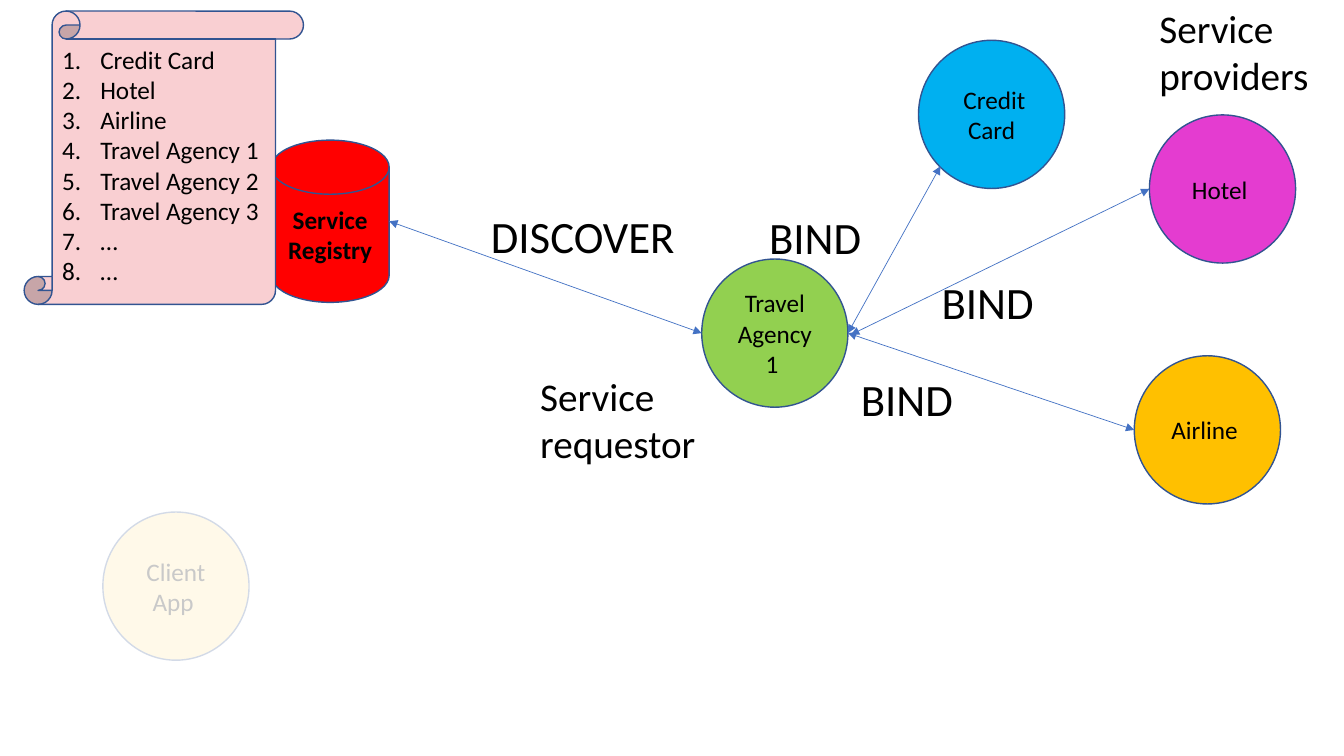
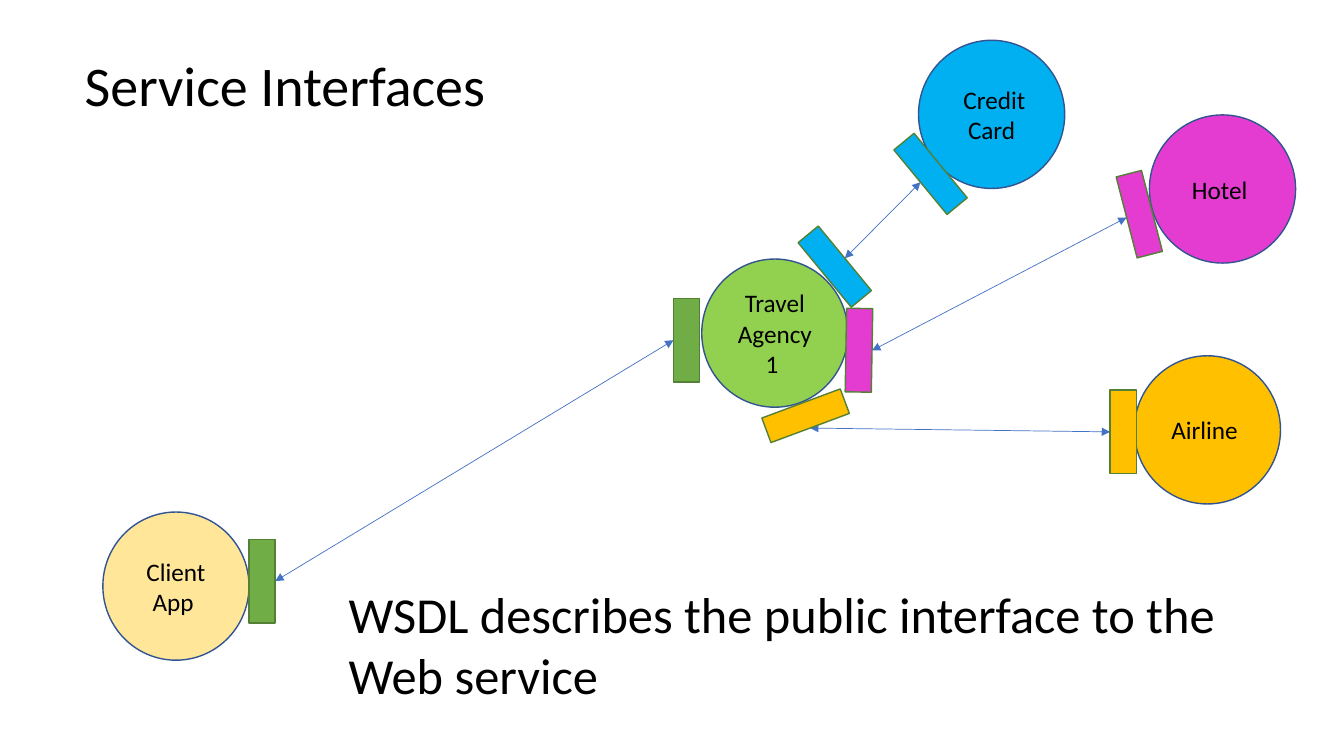
"""Builds two slides on service discovery, binding and interfaces."""
from dataclasses import dataclass
from math import cos, radians, sin

from pptx import Presentation
from pptx import util as u
from pptx.dml.color import RGBColor
from pptx.enum import shapes, text
from pptx.oxml.ns import qn
from pptx.oxml.xmlchemy import OxmlElement
from pptx.shapes.autoshape import Shape
from pptx.slide import Slide
from pptx.text.text import TextFrame

COLS, ROWS = 13.33, 7.5
COL = ROW = u.Inches(1)
FONT = "Calibri"
TITLE_ONLY, BLANK = 5, 6

BLACK = RGBColor(0x00, 0x00, 0x00)
WHITE = RGBColor(0xFF, 0xFF, 0xFF)
LIME = RGBColor(0x92, 0xD0, 0x50)
GREEN = RGBColor(0x70, 0xAD, 0x47)
DARK_GREEN = RGBColor(0x53, 0x80, 0x35)
AMBER = RGBColor(0xFF, 0xC0, 0x00)
CREAM = RGBColor(0xFF, 0xE6, 0x99)
MAGENTA = RGBColor(0xE4, 0x3C, 0xD0)
SKY = RGBColor(0x00, 0xB0, 0xF0)
RED = RGBColor(0xFF, 0x00, 0x00)
PINK = RGBColor(0xF9, 0xCF, 0xD2)
NAVY = RGBColor(0x32, 0x54, 0x91)
BLUE = RGBColor(0x44, 0x72, 0xC4)

MSO = shapes.MSO_SHAPE
Point = tuple[float, float]


@dataclass(frozen=True)
class Block:
    """A filled preset shape placed in grid columns and rows."""

    x: float
    y: float
    fill: RGBColor
    label: str = ""
    w: float = 1.45
    h: float = 1.47
    kind: shapes.MSO_SHAPE = MSO.FLOWCHART_CONNECTOR
    line: RGBColor | None = NAVY
    turn: float = 0
    bold: bool = False

    def site(self, across: float, down: float) -> Point:
        """Return the point at a share of the width and height, after turning."""
        dx, dy = (across - 0.5) * self.w, (down - 0.5) * self.h
        a = radians(self.turn)
        return (self.x + self.w / 2 + dx * cos(a) - dy * sin(a),
                self.y + self.h / 2 + dx * sin(a) + dy * cos(a))

    @property
    def left(self) -> Point:
        """Return the middle of the left side."""
        return self.site(0, 0.5)

    @property
    def right(self) -> Point:
        """Return the middle of the right side."""
        return self.site(1, 0.5)


@dataclass(frozen=True)
class Caption:
    """A free text placed in grid columns and rows."""

    words: str
    x: float
    y: float
    w: float
    h: float
    size: int
    indent: float = 0


def tab(x: float, y: float, fill: RGBColor, turn: float = 0) -> Block:
    """Describe an interface tab."""
    return Block(x, y, fill, w=0.26, h=0.83, kind=MSO.RECTANGLE, line=DARK_GREEN, turn=turn)


AGENCY = Block(6.96, 2.57, LIME, "Travel Agency 1 ")
AIRLINE = Block(11.25, 3.53, AMBER, "Airline ")
HOTEL = Block(11.4, 1.14, MAGENTA, "Hotel ")
CARD = Block(9.11, 0.4, SKY, " Credit Card")
CLIENT = Block(1.02, 5.08, CREAM, "Client App ")
SERVICES = (AGENCY, AIRLINE, HOTEL, CARD, CLIENT)

REGISTRY = Block(2.69, 1.39, RED, "Service Registry", 1.17, 1.61,
                 MSO.FLOWCHART_MAGNETIC_DISK, bold=True)
ENTRIES = ("Credit Card", "Hotel", "Airline", "Travel Agency 1",
           "Travel Agency 2", "Travel Agency 3", "…", "…")
SCROLL = Block(0.24, 0.11, PINK, "\n".join(ENTRIES), 2.77, 2.91, MSO.VERTICAL_SCROLL)
VEIL = Block(-0.12, 4.04, WHITE, w=5.01, h=2.78, kind=MSO.ROUNDED_RECTANGLE, line=None)

DISCOVERY_LINKS = (
    (AGENCY.right, CARD.site(0.15, 0.85)),
    ((8.44, 3.32), HOTEL.left),
    (AGENCY.right, AIRLINE.left),
    (AGENCY.left, REGISTRY.right),
)
DISCOVERY_CAPTIONS = (
    Caption("BIND", 9.24, 2.68, 1.94, 0.64, 32),
    Caption("BIND", 8.44, 3.64, 1.94, 0.64, 32),
    Caption("BIND", 7.53, 2.03, 1.94, 0.64, 32),
    Caption("DISCOVER", 4.77, 2.02, 2.19, 0.64, 32),
    Caption("Service requestor", 5.26, 3.64, 2.53, 1.04, 28),
    Caption("Service providers", 11.4, -0.01, 2.53, 1.04, 28),
)

TAB_PAIRS = (
    (tab(2.47, 5.35, GREEN), tab(6.68, 2.96, GREEN)),
    (tab(8.15, 2.23, SKY, 320.5), tab(9.1, 1.31, SKY, 320.5)),
    (tab(8.39, 3.06, MAGENTA, 1), tab(11.17, 1.71, MAGENTA, 345.5)),
    (tab(7.86, 3.71, AMBER, 69.6), tab(11.01, 3.87, AMBER)),
)
WSDL = Caption("WSDL describes the public interface to the Web service",
               2.86, 5.74, 9.66, 1.31, 36, indent=0.5)


def box(x: float, y: float, w: float, h: float) -> tuple[int, int, int, int]:
    """Turn grid columns and rows into lengths."""
    return int(x * COL), int(y * ROW), int(w * COL), int(h * ROW)


def write(tf: TextFrame, words: str, size: int, align: text.PP_ALIGN,
          anchor: text.MSO_ANCHOR, bold: bool = False) -> None:
    """Fill a text frame with evenly formatted paragraphs."""
    tf.text = words
    tf.word_wrap = True
    tf.vertical_anchor = anchor
    for p in tf.paragraphs:
        p.alignment = align
        p.font.name, p.font.size, p.font.bold = FONT, u.Pt(size), bold
        p.font.color.rgb = BLACK


def draw_block(slide: Slide, block: Block) -> Shape:
    """Draw a block with its centred label."""
    sp = slide.shapes.add_shape(block.kind, *box(block.x, block.y, block.w, block.h))
    sp.shadow.inherit = False
    sp.rotation = block.turn
    sp.fill.solid()
    sp.fill.fore_color.rgb = block.fill
    if block.line is None:
        sp.line.fill.background()
    else:
        sp.line.color.rgb = block.line
        sp.line.width = u.Pt(1)
    if block.label:
        write(sp.text_frame, block.label, 18, text.PP_ALIGN.CENTER,
              text.MSO_ANCHOR.MIDDLE, block.bold)
    return sp


def draw_link(slide: Slide, start: Point, end: Point) -> None:
    """Draw a thin line with an arrowhead at both ends."""
    cxn = slide.shapes.add_connector(shapes.MSO_CONNECTOR.STRAIGHT,
                                     *box(*start, *end))
    cxn.line.color.rgb = BLUE
    cxn.line.width = u.Pt(0.5)
    ln = cxn.line._get_or_add_ln()
    for tag in ("a:headEnd", "a:tailEnd"):
        arrow = OxmlElement(tag)
        arrow.set("type", "triangle")
        ln.append(arrow)
    ln.getparent().append(OxmlElement("a:effectLst"))


def draw_caption(slide: Slide, caption: Caption) -> None:
    """Draw a caption as a wrapping text box."""
    sp = slide.shapes.add_textbox(*box(caption.x, caption.y, caption.w, caption.h))
    tf = sp.text_frame
    write(tf, caption.words, caption.size, text.PP_ALIGN.LEFT, text.MSO_ANCHOR.TOP)
    tf.auto_size = text.MSO_AUTO_SIZE.SHAPE_TO_FIT_TEXT
    if caption.indent:
        tf.paragraphs[0]._p.get_or_add_pPr().set("marL", str(int(caption.indent * COL)))


def draw_scroll(slide: Slide) -> None:
    """Draw the scroll with the numbered registry entries."""
    sp = draw_block(slide, SCROLL)
    sp.adjustments[0] = 0.1
    sp.text_frame.vertical_anchor = text.MSO_ANCHOR.TOP
    hang = int(0.38 * COL)
    for p in sp.text_frame.paragraphs:
        p.alignment = text.PP_ALIGN.LEFT
        pPr = p._p.get_or_add_pPr()
        pPr.set("marL", str(hang))
        pPr.set("indent", str(-hang))
        number = OxmlElement("a:buAutoNum")
        number.set("type", "arabicPeriod")
        pPr.insert_element_before(number, "a:tabLst", "a:defRPr", "a:extLst")


def draw_veil(slide: Slide) -> None:
    """Draw the translucent sheet that fades the client."""
    sp = draw_block(slide, VEIL)
    alpha = OxmlElement("a:alpha")
    alpha.set("val", "79000")
    sp._element.spPr.find(f"{qn('a:solidFill')}/{qn('a:srgbClr')}").append(alpha)


def draw_title(slide: Slide, words: str) -> None:
    """Place and format the title placeholder."""
    sp = slide.shapes.title
    sp.left, sp.top, sp.width, sp.height = box(0.74, 0.53, 6.78, 2.41)
    tf = sp.text_frame
    write(tf, words, 40, text.PP_ALIGN.LEFT, text.MSO_ANCHOR.TOP)
    tf.auto_size = text.MSO_AUTO_SIZE.NONE
    p = tf.paragraphs[0]
    p.line_spacing, p.space_before = 0.9, u.Pt(10)


def add_service_slide(prs: Presentation, layout: int) -> Slide:
    """Add a slide with the five services on it."""
    slide = prs.slides.add_slide(prs.slide_layouts[layout])
    for service in SERVICES:
        draw_block(slide, service)
    return slide


def build_discovery(prs: Presentation) -> None:
    """Build the slide on discovering and binding services."""
    slide = add_service_slide(prs, BLANK)
    draw_block(slide, REGISTRY)
    draw_scroll(slide)
    for start, end in DISCOVERY_LINKS:
        draw_link(slide, start, end)
    draw_veil(slide)
    for caption in DISCOVERY_CAPTIONS:
        draw_caption(slide, caption)


def build_interfaces(prs: Presentation) -> None:
    """Build the slide on service interfaces."""
    slide = add_service_slide(prs, TITLE_ONLY)
    draw_title(slide, "Service Interfaces")
    for near, far in TAB_PAIRS:
        draw_link(slide, near.right, far.left)
        draw_block(slide, near)
        draw_block(slide, far)
    draw_caption(slide, WSDL)


def main() -> None:
    """Build and save the presentation."""
    prs = Presentation()
    prs.slide_width, prs.slide_height = int(COLS * COL), int(ROWS * ROW)
    build_discovery(prs)
    build_interfaces(prs)
    prs.save("out.pptx")


main()
